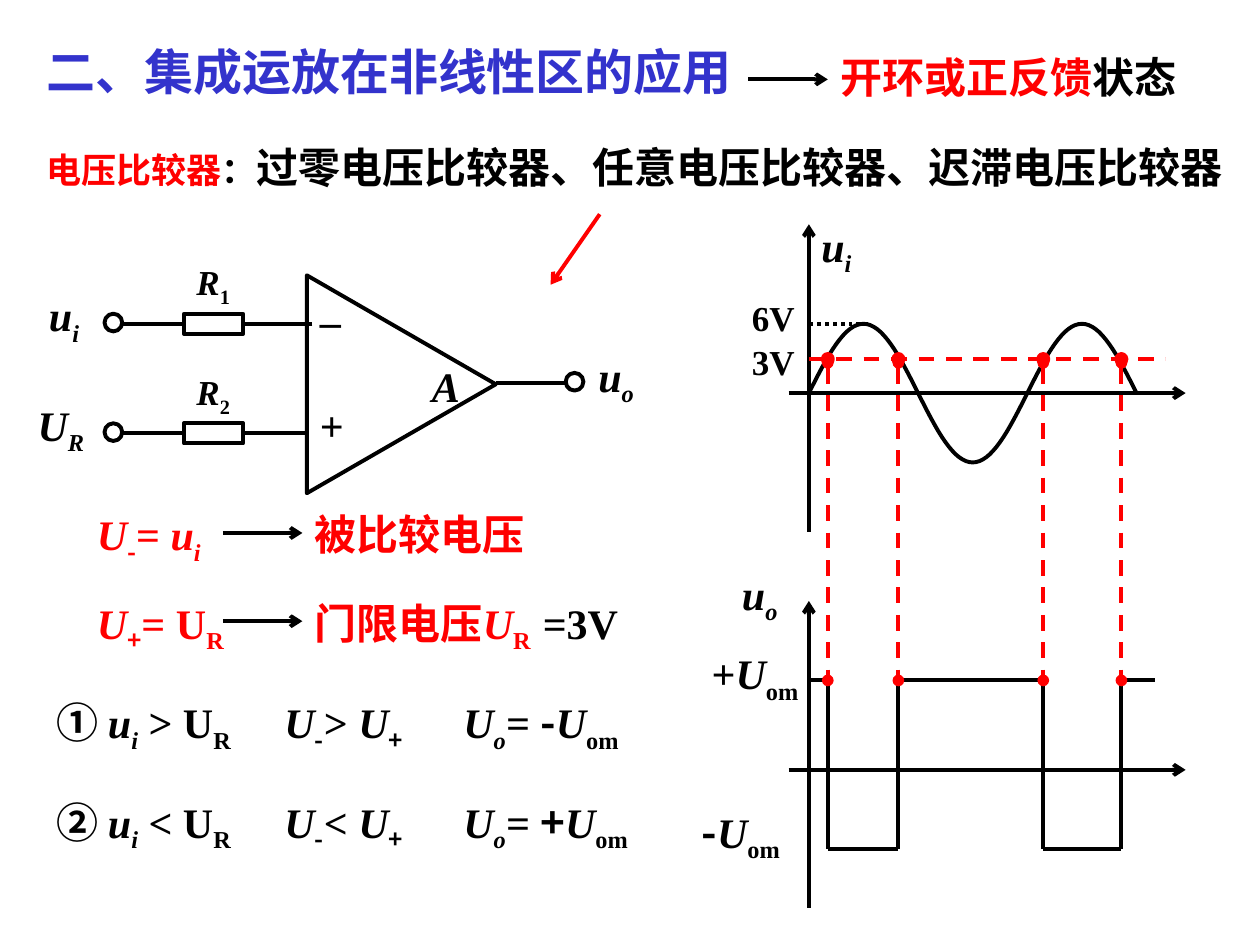
from math import pi, sin
from lxml.etree import SubElement
from pptx import Presentation
from pptx.dml.color import RGBColor
from pptx.enum.dml import MSO_LINE as Dash
from pptx.enum.shapes import MSO_CONNECTOR as Link, MSO_SHAPE as Shape
from pptx.enum.text import MSO_ANCHOR as Anchor, PP_ALIGN as Align
from pptx.oxml.ns import qn
from pptx.util import Inches, Pt

COLS, ROWS = 100, 75
CELL = Inches(10) / COLS
SERIF, SANS = "Times New Roman", "Noto Sans CJK SC"
BLACK, WHITE, RED, BLUE = "000000", "FFFFFF", "FF0000", "3333CC"
AXIS = 64.2
EDGES = (65.7, 71.3, 82.8, 89)
HIGH, LOW = 54, 67.4


def cells(*nums):
    return [round(n * CELL) for n in nums]


def paint(hue):
    return RGBColor.from_string(hue)


def pen(line, hue):
    line.color.rgb = paint(hue)
    line.width = Pt(2.25)


def write(frame, runs, size, hue):
    frame.word_wrap = True
    frame.vertical_anchor = Anchor.TOP
    para = frame.paragraphs[0]
    para.alignment = Align.LEFT
    font = para.font
    font.name, font.size, font.bold = SERIF, Pt(size), True
    font.color.rgb = paint(hue)
    for words, marks in runs:
        run = para.add_run()
        run.text = words
        if "i" in marks:
            run.font.italic = True
        if "n" in marks:
            run.font.name = SANS
        if "k" in marks:
            run.font.color.rgb = paint(BLACK)
        if "b" in marks:
            run.font.size = Pt(24)
        if "s" in marks:
            run._r.get_or_add_rPr().set("baseline", "-25000")


def label(slide, x, y, w, runs, size=24, hue=BLACK):
    if isinstance(runs, str):
        runs = [(runs, "")]
    box = slide.shapes.add_textbox(*cells(x, y, w, 5.6 if size == 24 else 4.8))
    write(box.text_frame, runs, size, hue)


def wire(slide, x1, y1, x2, y2, hue=BLACK, dash=None, head=None, tail=None):
    link = slide.shapes.add_connector(Link.STRAIGHT, *cells(x1, y1, x2, y2))
    pen(link.line, hue)
    if dash:
        link.line.dash_style = dash
    props = link._element.spPr
    for end, kind in (("a:headEnd", head), ("a:tailEnd", tail)):
        if kind:
            SubElement(props.find(qn("a:ln")), qn(end)).set("type", kind)
    SubElement(props, qn("a:effectLst"))


def block(slide, kind, x, y, w, h, fill=WHITE, edge=BLACK):
    item = slide.shapes.add_shape(kind, *cells(x, y, w, h))
    item.shadow.inherit = False
    item.fill.solid()
    item.fill.fore_color.rgb = paint(fill)
    pen(item.line, edge)
    return item


def wave(slide, x, y, span, peak, steps=32):
    spots = [cells(x + span * n / steps, y - peak * sin(pi * n / steps))
             for n in range(steps + 1)]
    path = slide.shapes.build_freeform(*spots[0])
    path.add_line_segments(spots[1:], close=False)
    curve = path.convert_to_shape()
    curve.shadow.inherit = False
    curve.fill.background()
    pen(curve.line, BLACK)


def heads(slide):
    title = slide.shapes.title
    title.left, title.top, title.width, title.height = cells(2.7, 2.8, 61.4, 5.7)
    write(title.text_frame, [("二、集成运放在非线性区的应用", "")], 28, BLUE)
    wire(slide, 59.4, 6.3, 65.7, 6.3, tail="arrow")
    label(slide, 65.7, 3.6, 32.3, [("开环或正反馈", ""), ("状态", "k")], hue=RED)
    label(slide, 2.7, 10.7, 97.3, [("电压比较器", ""), ("：", "k"),
          ("过零电压比较器、任意电压比较器、迟滞电压比较器", "kb")], 20, RED)


def amp(slide):
    block(slide, Shape.ISOSCELES_TRIANGLE, 23.2, 23, 17.3, 15).rotation = 90
    label(slide, 33.3, 28.1, 10, [("A", "i")])
    inputs = ((25.7, 24.8, 2.9, "u", "i", "1"), (34.4, 24.4, 2, "U", "R", "2"))
    for y, end, x, name, sub, num in inputs:
        wire(slide, end, y, 9, y)
        block(slide, Shape.RECTANGLE, 14.6, y - 0.8, 4.7, 1.6)
        block(slide, Shape.OVAL, 8.3, y - 0.8, 1.4, 1.4)
        label(slide, x, y - 3.2, 13, [(name, "i"), (sub, "is")])
        label(slide, 14.6, y - 5.5, 10.2, [("R", "i"), (num, "s")], 20)
    wire(slide, 39.4, 30.4, 44.9, 30.4)
    block(slide, Shape.OVAL, 44.9, 29.6, 1.4, 1.4)
    label(slide, 46.5, 27.3, 9.1, [("u", "i"), ("o", "is")])
    label(slide, 24.4, 21.8, 6.3, "_")
    label(slide, 24.4, 31.2, 6.3, "+")
    wire(slide, 47.6, 17, 43.7, 22.6, RED, tail="arrow")


def rules(slide):
    terms = (
        (39.9, [("U", "i"), ("-", "ns"), ("= ", ""), ("u", "i"), ("i", "is")],
         [("被比较电压", "")]),
        (46.9, [("U", "i"), ("+", "ns"), ("= U", ""), ("R", "s")],
         [("门限电压", ""), ("U", "i"), ("R", "s")]))
    for y, term, sense in terms:
        label(slide, 6.7, y, 13.4, term, hue=RED)
        wire(slide, 17.7, y + 2.4, 24, y + 2.4, tail="arrow")
        label(slide, 24, y, 21.2, sense, hue=RED)
    label(slide, 42.1, 46.9, 8.7, "=3V")
    for y, num, sign, out in ((54.8, "①", ">", "-"), (62.7, "②", "<", "+")):
        label(slide, 3.5, y, 26, [(num + " ", "n"), ("u", "i"), ("i", "is"),
              (f" {sign} U", ""), ("R", "s")])
        label(slide, 21.6, y, 26, [("U", "i"), ("-", "ns"), (sign + " ", ""),
              ("U", "i"), ("+", "ns")])
        label(slide, 35.8, y, 21.3, [("U", "i"), ("o", "is"), ("= ", "i"),
              (out, "n"), ("U", "i"), ("om", "s")])


def graphs(slide):
    for x, y, top, base, sub in ((64.2, 17, 17.8, 31.2, "i"),
                                 (57.9, 44.6, 47.7, 61.1, "o")):
        wire(slide, 62.6, base, 94.1, base, tail="arrow")
        wire(slide, AXIS, top, AXIS, top + 24.4, head="arrow")
        label(slide, x, y, 5.6, [("u", "i"), (sub, "is")])
    for n in range(3):
        wave(slide, AXIS + 8.67 * n, 31.2, 8.67, 5.5 * (-1) ** n)
    wire(slide, 68.9, 25.7, AXIS, 25.7, dash=Dash.ROUND_DOT)
    wire(slide, AXIS, 28.5, 92.5, 28.5, RED, Dash.DASH)
    label(slide, 58.7, 23, 6.3, "6V", 20)
    label(slide, 58.7, 26.5, 6.3, "3V", 20)
    stops = (AXIS, *EDGES, 91.7)
    for n in range(5):
        level = LOW if n % 2 else HIGH
        wire(slide, stops[n], level, stops[n + 1], level)
    for x in EDGES:
        wire(slide, x, HIGH, x, LOW)
        block(slide, Shape.OVAL, x - 0.4, 28.1, 0.8, 0.8, RED, RED)
        wire(slide, x, 28.8, x, HIGH, RED, Dash.DASH, "oval", "oval")
    for x, y, sign, mark in ((55.5, 50.9, "+", ""), (54.7, 63.5, "-", "n")):
        label(slide, x, y, 21.3, [(sign, mark), ("U", "i"), ("om", "s")])


def main():
    deck = Presentation()
    deck.slide_width, deck.slide_height = cells(COLS, ROWS)
    slide = deck.slides.add_slide(deck.slide_layouts[5])
    for draw in (heads, amp, rules, graphs):
        draw(slide)
    deck.save("out.pptx")


if __name__ == "__main__":
    main()
